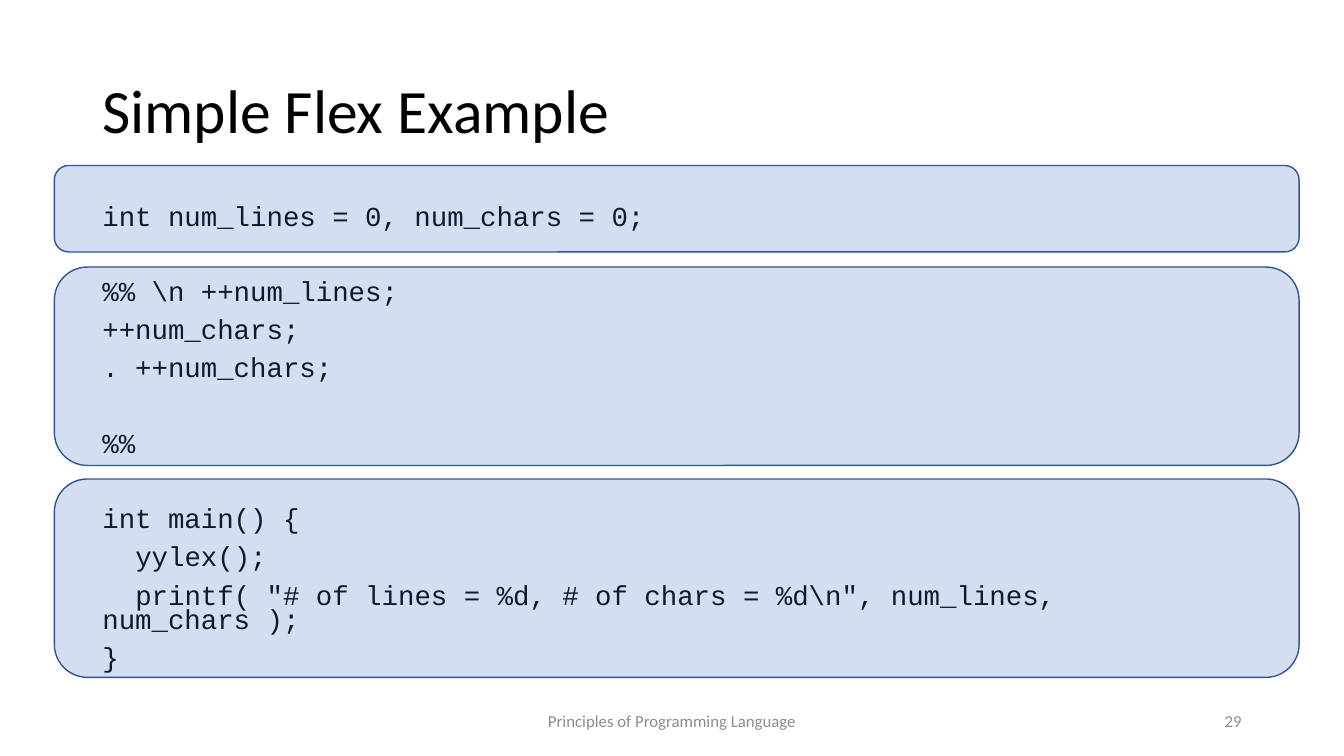
import dataclasses

import pptx
import pptx.dml.color
import pptx.enum.shapes
import pptx.enum.text
import pptx.oxml.ns
import pptx.slide
import pptx.text.text
import pptx.util
import lxml.etree

Cm = pptx.util.Cm
Pt = pptx.util.Pt
ALIGN = pptx.enum.text.PP_ALIGN
ANCHOR = pptx.enum.text.MSO_ANCHOR

PANEL_LEFT, PANEL_WIDTH = 1.37, 31.37
CODE_SIZE = 19.6
LINE_GAP = 10
SECTION_GAP = 36.4  # one skipped line
CODE_INDENT = 0.83  # two characters


@dataclasses.dataclass
class Panel:
    """A translucent box behind one section of the program, in cm."""
    top: float
    height: float


@dataclasses.dataclass
class CodeLine:
    """One line of code with its space before and first-line indent."""
    text: str
    before: float = LINE_GAP
    indent: float = 0


PANELS = [Panel(4.17, 2.18), Panel(6.73, 5), Panel(12.07, 5)]

CODE = [
    CodeLine("int num_lines = 0, num_chars = 0;", before=0),
    CodeLine("%% \\n ++num_lines;", SECTION_GAP),
    CodeLine("++num_chars;"),
    CodeLine(". ++num_chars;"),
    CodeLine("%%", SECTION_GAP),
    CodeLine("int main() {", SECTION_GAP),
    CodeLine("yylex();", indent=CODE_INDENT),
    CodeLine('printf( "# of lines = %d, # of chars = %d\\n", num_lines, num_chars );',
             indent=CODE_INDENT),
    CodeLine("}"),
]


def color(value: str) -> pptx.dml.color.RGBColor:
    """Turn a hex string into a colour."""
    return pptx.dml.color.RGBColor.from_string(value)


def add_frame(s: pptx.slide.Slide, left: float, top: float, width: float,
              height: float, anchor: ANCHOR = ANCHOR.MIDDLE) -> pptx.text.text.TextFrame:
    """Add a wrapping text box, in cm, and return its text frame."""
    tf = s.shapes.add_textbox(Cm(left), Cm(top), Cm(width), Cm(height)).text_frame
    tf.word_wrap = True
    tf.vertical_anchor = anchor
    return tf


def write(p: pptx.text.text._Paragraph, text: str, *, size: float,
          font: str = "Calibri", fill: str = "000000", align: ALIGN = ALIGN.LEFT,
          spacing: float = 1.0, before: float = 0, indent: float = 0) -> None:
    """Write formatted text into a paragraph."""
    p.alignment = align
    p.line_spacing = spacing
    p.space_before = Pt(before)
    if indent:
        pPr = p._p.get_or_add_pPr()
        pPr.set("marL", "0")
        pPr.set("indent", str(int(Cm(indent))))
    r = p.add_run()
    r.text = text
    r.font.name = font
    r.font.size = Pt(size)
    r.font.color.rgb = color(fill)


def add_code(s: pptx.slide.Slide, lines: list[CodeLine]) -> None:
    """Add the program listing as one text box."""
    tf = add_frame(s, 2.33, 5.08, 29.21, 12.09, ANCHOR.TOP)
    for i, line in enumerate(lines):
        p = tf.add_paragraph() if i else tf.paragraphs[0]
        write(p, line.text, size=CODE_SIZE, font="Courier New", spacing=0.74,
              before=line.before, indent=line.indent)


def add_panel(s: pptx.slide.Slide, panel: Panel) -> None:
    """Add a rounded translucent panel."""
    sp = s.shapes.add_shape(pptx.enum.shapes.MSO_SHAPE.ROUNDED_RECTANGLE,
                            Cm(PANEL_LEFT), Cm(panel.top),
                            Cm(PANEL_WIDTH), Cm(panel.height))
    sp.shadow.inherit = False
    sp.fill.solid()
    sp.fill.fore_color.rgb = color("4472C4")
    qn = pptx.oxml.ns.qn
    clr = sp._element.spPr.find(qn("a:solidFill")).find(qn("a:srgbClr"))
    lxml.etree.SubElement(clr, qn("a:alpha")).set("val", "23000")
    sp.line.color.rgb = color("325491")
    sp.line.width = Pt(1)


def main() -> None:
    """Build and save the slide."""
    prs = pptx.Presentation()
    prs.slide_width, prs.slide_height = Cm(33.87), Cm(19.05)
    s = prs.slides.add_slide(prs.slide_layouts[6])

    tf = add_frame(s, 2.33, 1.01, 29.21, 3.68)
    write(tf.paragraphs[0], "Simple Flex Example", size=44, spacing=0.9)
    add_code(s, CODE)
    tf = add_frame(s, 11.22, 17.66, 11.43, 1.01)
    write(tf.paragraphs[0], "Principles of Programming Language", size=12,
          fill="8C8C8C", align=ALIGN.CENTER)
    tf = add_frame(s, 23.92, 17.66, 7.62, 1.01)
    write(tf.paragraphs[0], "29", size=12, fill="8C8C8C", align=ALIGN.RIGHT)
    for panel in PANELS:
        add_panel(s, panel)

    prs.save("out.pptx")


main()
